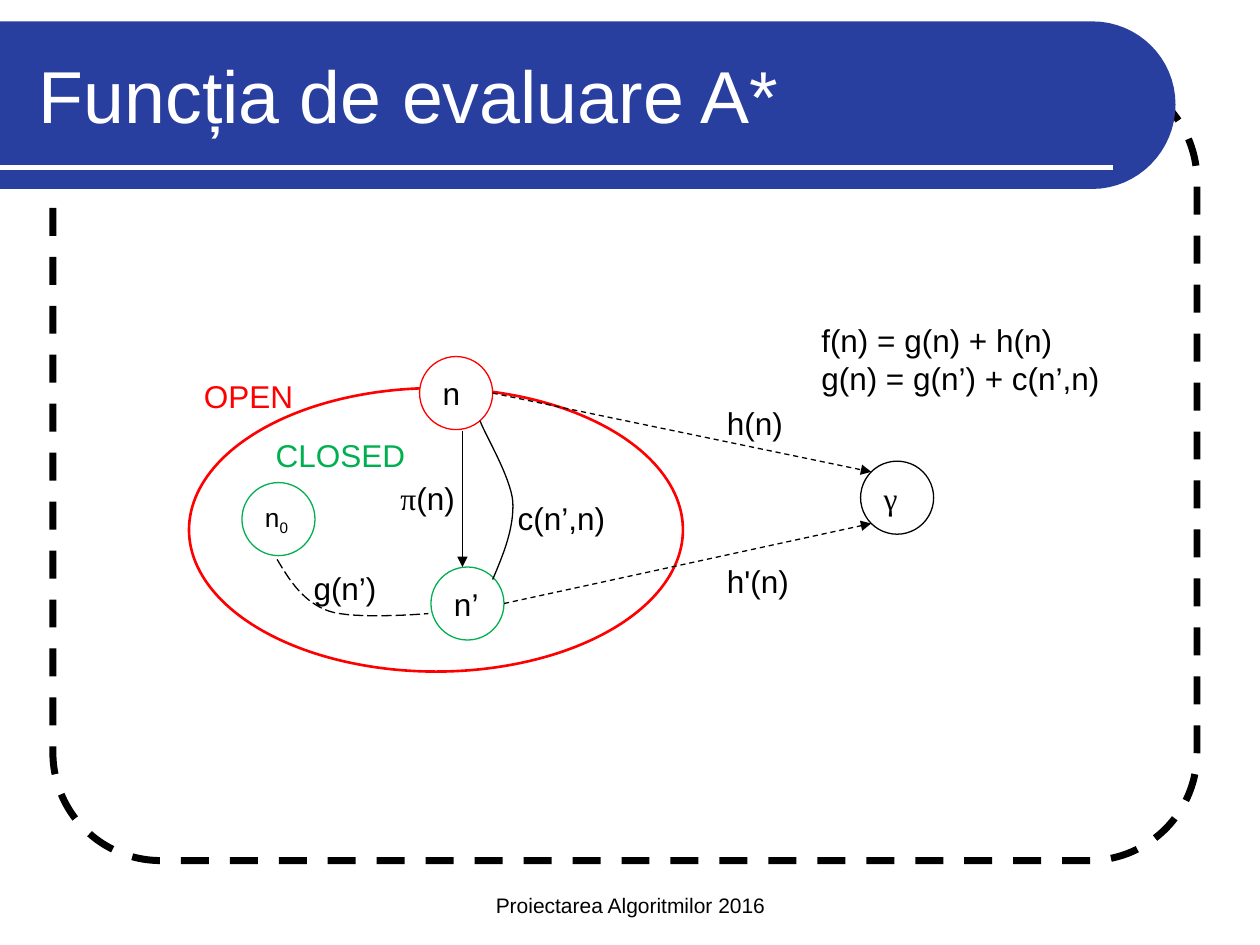
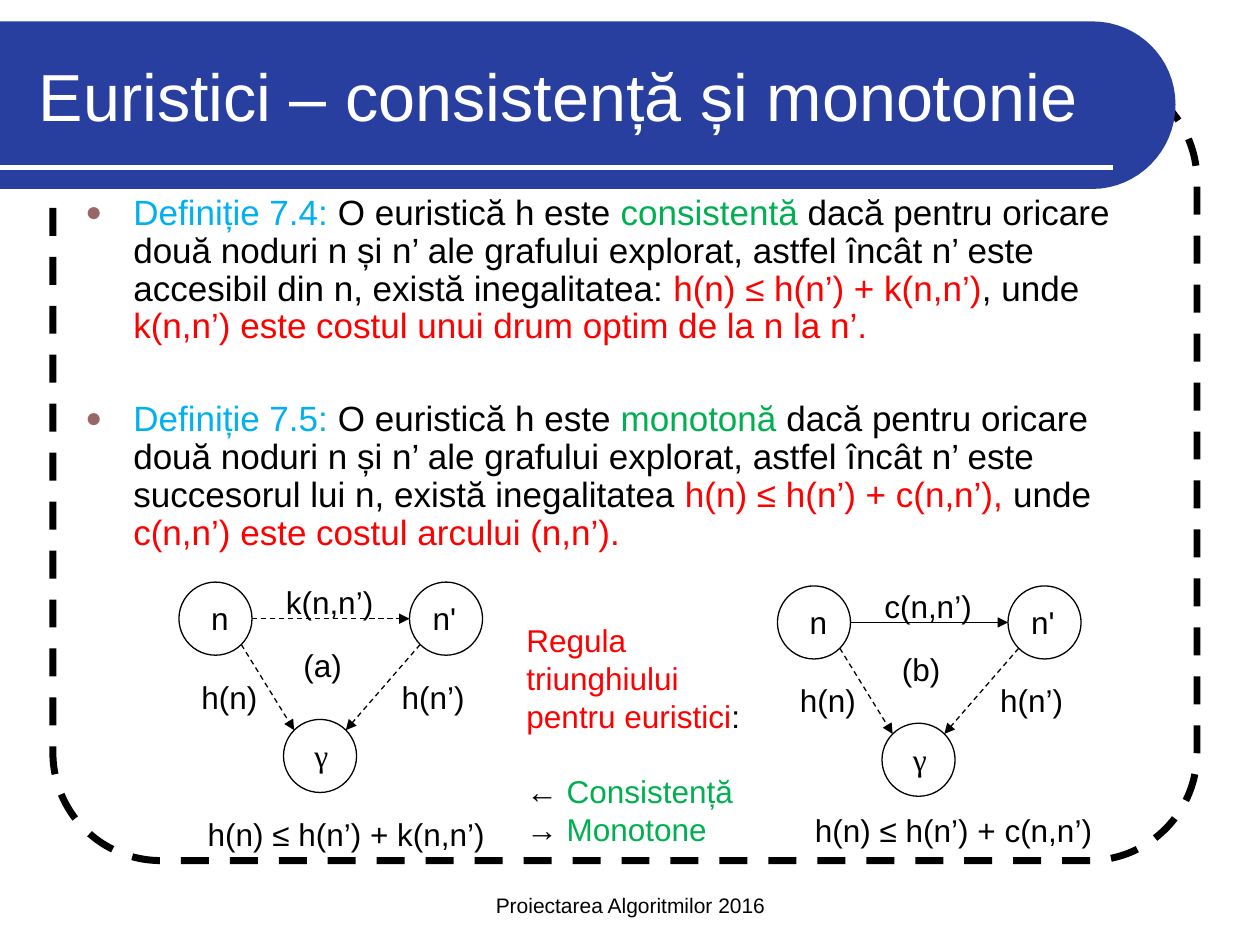
import math

import pptx
import pptx.dml.color
import pptx.enum.dml
import pptx.enum.shapes
import pptx.enum.text
import pptx.oxml
import pptx.oxml.ns
import pptx.util

Inches = pptx.util.Inches
Pt = pptx.util.Pt
Shape = pptx.enum.shapes.MSO_SHAPE
Dash = pptx.enum.dml.MSO_LINE
Anchor = pptx.enum.text.MSO_ANCHOR
Align = pptx.enum.text.PP_ALIGN

BLACK, WHITE, BAND = "000000", "FFFFFF", "283FA0"
RED, GREEN, BLUE, BULLET = "FF0000", "00B050", "00B0F0", "996666"
SANS, SERIF = "Arial", "Times New Roman"
NODE = 0.58
LABEL_HEIGHT = 0.4
RIGHT, DOWN_RIGHT, DOWN_LEFT, UP_LEFT, UP_RIGHT = 0, 45, 135, 225, 315


def color(value):
    return pptx.dml.color.RGBColor.from_string(value)


def add_xml(parent, tag, **attributes):
    child = pptx.oxml.parse_xml(f"<a:{tag} {pptx.oxml.ns.nsdecls('a')}/>")
    for name, value in attributes.items():
        child.set(name, str(value))
    parent.append(child)


def style_line(line, line_color, width, dash=None):
    line.color.rgb = color(line_color)
    line.width = Pt(width)
    if dash:
        line.dash_style = dash


def style_shape(shape, fill=None, line=None, width=0.75, dash=None):
    shape.shadow.inherit = False
    if fill:
        shape.fill.solid()
        shape.fill.fore_color.rgb = color(fill)
    else:
        shape.fill.background()
    if line:
        style_line(shape.line, line, width, dash)
    else:
        shape.line.fill.background()
    return shape


def write_spans(para, spans, size):
    """Each span is (text,) or (text, color) or (text, color, font)."""
    for text, *options in spans:
        span = para.add_run()
        span.text = text
        span_color, font = (options + [BLACK, SANS][len(options):])[:2]
        formats = {"size": Pt(size), "name": font}
        for name, value in formats.items():
            setattr(span.font, name, value)
        span.font.color.rgb = color(span_color)


def write_text(frame, paragraphs, size=18, align=Align.LEFT, gap=0, **formats):
    for name, value in {"word_wrap": True, **formats}.items():
        setattr(frame, name, value)
    for index, spans in enumerate(paragraphs):
        para = frame.paragraphs[0] if index == 0 else frame.add_paragraph()
        para.alignment = align
        if index and gap:
            para.space_before = Pt(gap)
        write_spans(para, spans, size)


def add_text(page, left, top, width, height, paragraphs, **formats):
    box = page.shapes.add_textbox(Inches(left), Inches(top), Inches(width), Inches(height))
    write_text(box.text_frame, paragraphs, **formats)
    return box


def add_label(page, left, top, width, *spans):
    """One line of text; the right margin is given up so that it never breaks."""
    add_text(page, left, top, width, LABEL_HEIGHT, [spans], margin_right=0)


def add_node(page, left, top, spans, line=BLACK, fill=None, size=18,
             anchor=Anchor.MIDDLE, indent=0.1):
    node = page.shapes.add_shape(Shape.OVAL, Inches(left), Inches(top), Inches(NODE), Inches(NODE))
    style_shape(node, fill, line)
    write_text(node.text_frame, [spans], size, vertical_anchor=anchor,
               margin_left=Inches(indent), margin_right=0)
    return left, top


def rim(node, degrees):
    """Point on a node's circle, clockwise from its right side."""
    angle = math.radians(degrees)
    radius = NODE / 2
    return (node[0] + radius * (1 + math.cos(angle)),
            node[1] + radius * (1 + math.sin(angle)))


def add_line(page, start, end, line=BLACK, width=0.75, dash=None, arrow=True):
    points = [Inches(value) for value in (*start, *end)]
    connector = page.shapes.add_connector(pptx.enum.shapes.MSO_CONNECTOR.STRAIGHT, *points)
    style_line(connector.line, line, width, dash)
    if arrow:
        add_xml(connector.line._get_or_add_ln(), "tailEnd", type="triangle")
    add_xml(connector._element.spPr, "effectLst")


def curve(start, *controls, steps=16):
    """Points along cubic curves; each has two control points and an end."""
    points = [start]
    for first, second, end in controls:
        for step in range(1, steps + 1):
            t = step / steps
            weights = ((1 - t) ** 3, 3 * t * (1 - t) ** 2, 3 * t * t * (1 - t), t ** 3)
            corners = (start, first, second, end)
            points.append(tuple(sum(w * corner[axis] for w, corner in zip(weights, corners))
                                for axis in (0, 1)))
        start = end
    return points


def add_outline(page, points, close=False, **style):
    points = [(Inches(x), Inches(y)) for x, y in points]
    builder = page.shapes.build_freeform(*points[0])
    builder.add_line_segments(points[1:], close=close)
    return style_shape(builder.convert_to_shape(), **style)


def add_page(deck, title, title_size):
    """Blank slide with the shared frame, title band and footer."""
    page = deck.slides.add_slide(deck.slide_layouts[6])
    frame = page.shapes.add_shape(Shape.ROUNDED_RECTANGLE, Inches(0.42), Inches(0.58),
                                  Inches(9.08), Inches(6.25))
    frame.adjustments[0] = 0.137
    style_shape(frame, line=BLACK, width=4, dash=Dash.DASH)
    round_end = curve((8.67, 0.17),
                      ((9.03, 0.17), (9.33, 0.46), (9.33, 0.83)),
                      ((9.33, 1.2), (9.03, 1.5), (8.67, 1.5)))
    add_outline(page, [(0, 0.17), *round_end, (0, 1.5)], close=True, fill=BAND)
    add_line(page, (0, 1.33), (8.83, 1.33), WHITE, 3, arrow=False)
    add_text(page, 3.42, 6.83, 3.17, 0.5, [[("Proiectarea Algoritmilor 2016",)]], size=12,
             align=Align.CENTER, vertical_anchor=Anchor.BOTTOM)
    add_text(page, 0.21, 0.25, 8.77, 1, [[(title, WHITE)]], size=title_size,
             vertical_anchor=Anchor.MIDDLE)
    return page


def add_search_graph(page, left, top):
    def at(x, y):
        return left + x, top + y

    open_set = page.shapes.add_shape(Shape.OVAL, *map(Inches, at(0, 0.58)),
                                     Inches(3.92), Inches(2.25))
    style_shape(open_set, line=RED, width=1.5)
    add_node(page, *at(0.42, 1.33), [("n",), ("0",)], GREEN, size=15)
    subscript = page.shapes[-1].text_frame.paragraphs[0].runs[1]
    subscript.font._element.set("baseline", "-25000")
    parent = add_node(page, *at(1.92, 2), [("n’",)], GREEN)
    goal = add_node(page, *at(5.33, 1.16), [("γ", BLACK, SERIF)])
    current = add_node(page, *at(1.83, 0.33), [("n",)], RED, WHITE)

    add_line(page, at(2.17, 0.92), at(2.17, 2))
    add_line(page, rim(current, RIGHT), rim(goal, UP_LEFT), dash=Dash.DASH)
    add_line(page, rim(parent, RIGHT), rim(goal, DOWN_LEFT), dash=Dash.DASH)
    add_outline(page, curve(at(0.7, 1.94),
                            (at(0.8, 2.11), at(0.91, 2.28), at(1.11, 2.35)),
                            (at(1.31, 2.42), at(1.9, 2.37), at(1.9, 2.37))),
                line=BLACK, dash=Dash.LONG_DASH)
    add_outline(page, curve(at(2.41, 2.1),
                            (at(2.5, 1.89), at(2.58, 1.69), at(2.57, 1.48)),
                            (at(2.55, 1.28), at(2.35, 0.95), at(2.31, 0.84))),
                line=BLACK)

    labels = [
        (4.17, 0.66, 0.64, ("h(n)",)),
        (1.58, 1.25, 0.65, ("π", BLACK, SERIF), ("(n)",)),
        (0.89, 1.97, 0.7, ("g(n’)",)),
        (2.51, 1.41, 0.89, ("c(n’,n)",)),
        (0.02, 0.44, 0.91, ("OPEN", RED)),
        (0.59, 0.91, 1.23, ("CLOSED", GREEN)),
        (4.17, 1.91, 0.69, ("h'(n)",)),
    ]
    for x, y, width, *spans in labels:
        add_label(page, *at(x, y), width, *spans)
    add_text(page, *at(4.92, 0), 2.5, 0.7,
             [[("f(n) = g(n) + h(n)",)], [("g(n) = g(n’) + c(n’,n)",)]])


def add_definitions(page, left, top, width, height):
    shared = "dacă pentru oricare două noduri n și n’ ale grafului explorat, astfel încât n’ este "
    definitions = [
        [("Definiție 7.4: ", BLUE), ("O euristică h este ",), ("consistentă", GREEN),
         (f" {shared}accesibil din n, există inegalitatea: ",),
         ("h(n) ≤ h(n’) + k(n,n’)", RED), (", unde ",),
         ("k(n,n’) este costul unui drum optim de la n la n’.", RED)],
        [("Definiție 7.5:", BLUE), (" O euristică h este ",), ("monotonă ", GREEN),
         (f"{shared}succesorul lui n, există inegalitatea ",),
         ("h(n) ≤ h(n’) + c(n,n’), ", RED), ("unde ",),
         ("c(n,n’) este costul arcului (n,n’).", RED)],
    ]
    box = add_text(page, left, top, width, height, definitions, size=20, gap=31.5)
    for para in box.text_frame.paragraphs:
        para.line_spacing = 0.9
        properties = para._p.get_or_add_pPr()
        properties.set("marL", str(Inches(0.38)))
        properties.set("indent", str(-Inches(0.38)))
        add_xml(properties, "buClr")
        add_xml(properties[-1], "srgbClr", val=BULLET)
        add_xml(properties, "buSzPct", val=80000)
        add_xml(properties, "buFont", typeface=SANS)
        add_xml(properties, "buChar", char="●")


def add_triangle(page, left, top, name, cost, cost_dash, rule_place):
    """Nodes n, n' and γ with the cost and heuristic arrows between them."""
    def at(x, y):
        return left + x, top + y

    style = {"fill": WHITE, "anchor": Anchor.TOP}
    current = add_node(page, *at(0, 0), [("n",)], indent=0.17, **style)
    following = add_node(page, *at(1.83, 0), [("n'",)], **style)
    goal = add_node(page, *at(0.83, 1.09), [("γ", BLACK, SERIF)], indent=0.16, **style)
    add_line(page, rim(current, RIGHT), at(1.83, NODE / 2), dash=cost_dash)
    add_line(page, rim(current, DOWN_RIGHT), rim(goal, UP_LEFT), dash=Dash.DASH)
    add_line(page, rim(following, DOWN_LEFT), rim(goal, UP_RIGHT), dash=Dash.DASH)
    labels = [
        (0.75, -0.04, 0.89, cost),
        (1.67, 0.71, 0.7, "h(n’)"),
        (0.08, 0.71, 0.64, "h(n)"),
        (0.89, 0.46, 0.5, name),
        (*rule_place, 2.4, f"h(n) ≤ h(n’) + {cost}"),
    ]
    for x, y, width, text in labels:
        add_label(page, *at(x, y), width, (text,))


def add_triangle_rule(page, left, top, width, height):
    add_text(page, left, top, width, height, [
        [("Regula triunghiului pentru euristici", RED), (":",)],
        [("← ",), ("Consistență ", GREEN), ("→ ",), ("Monotone", GREEN)],
    ], gap=21.5)


def main():
    deck = pptx.Presentation()
    deck.slide_width, deck.slide_height = Inches(10), Inches(7.5)

    page = add_page(deck, "Funcția de evaluare A*", 42)
    add_search_graph(page, 1.5, 2.5)

    page = add_page(deck, "Euristici – consistență și monotonie", 38)
    add_definitions(page, 0.58, 1.5, 8.66, 3.08)
    add_triangle(page, 1.42, 4.62, "(a)", "k(n,n’)", Dash.DASH, (0.13, 1.8))
    add_triangle(page, 6.17, 4.65, "(b)", "c(n,n’)", None, (0.2, 1.74))
    add_triangle_rule(page, 4.08, 4.88, 1.92, 1.9)

    deck.save("out.pptx")


if __name__ == "__main__":
    main()
